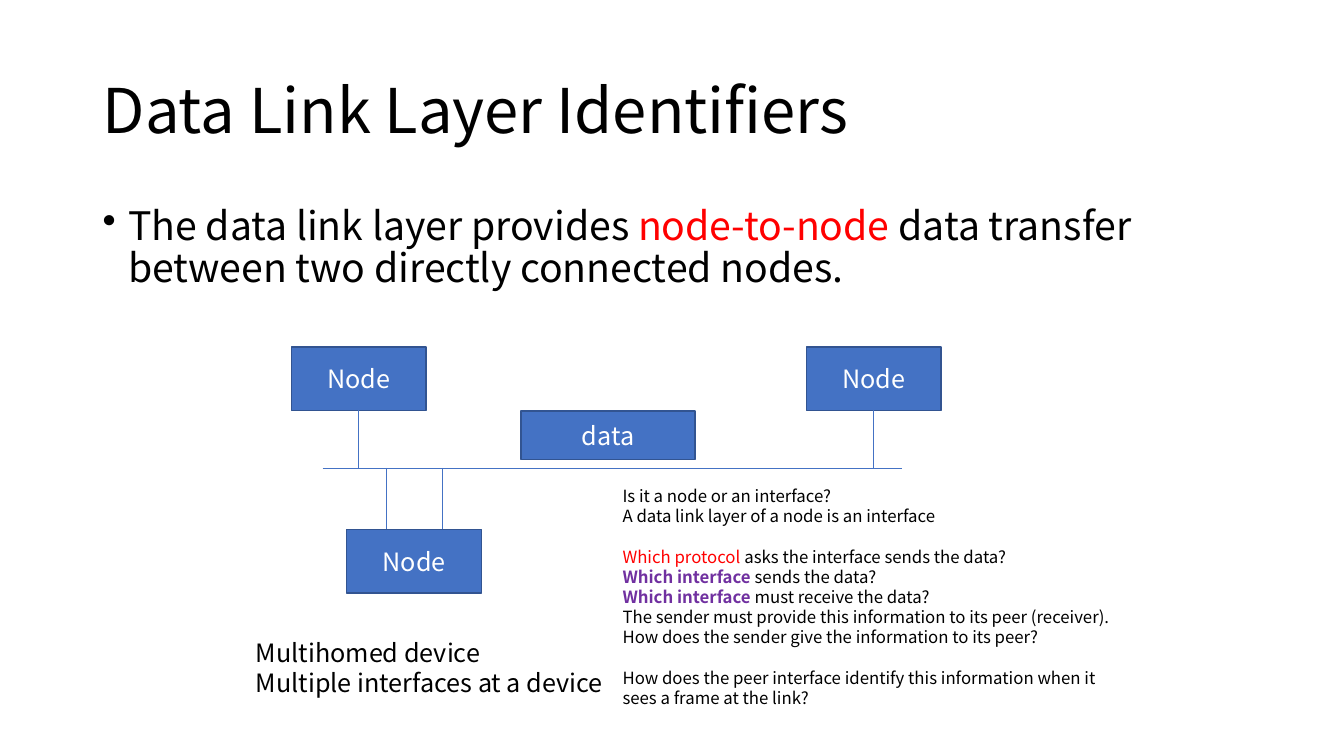
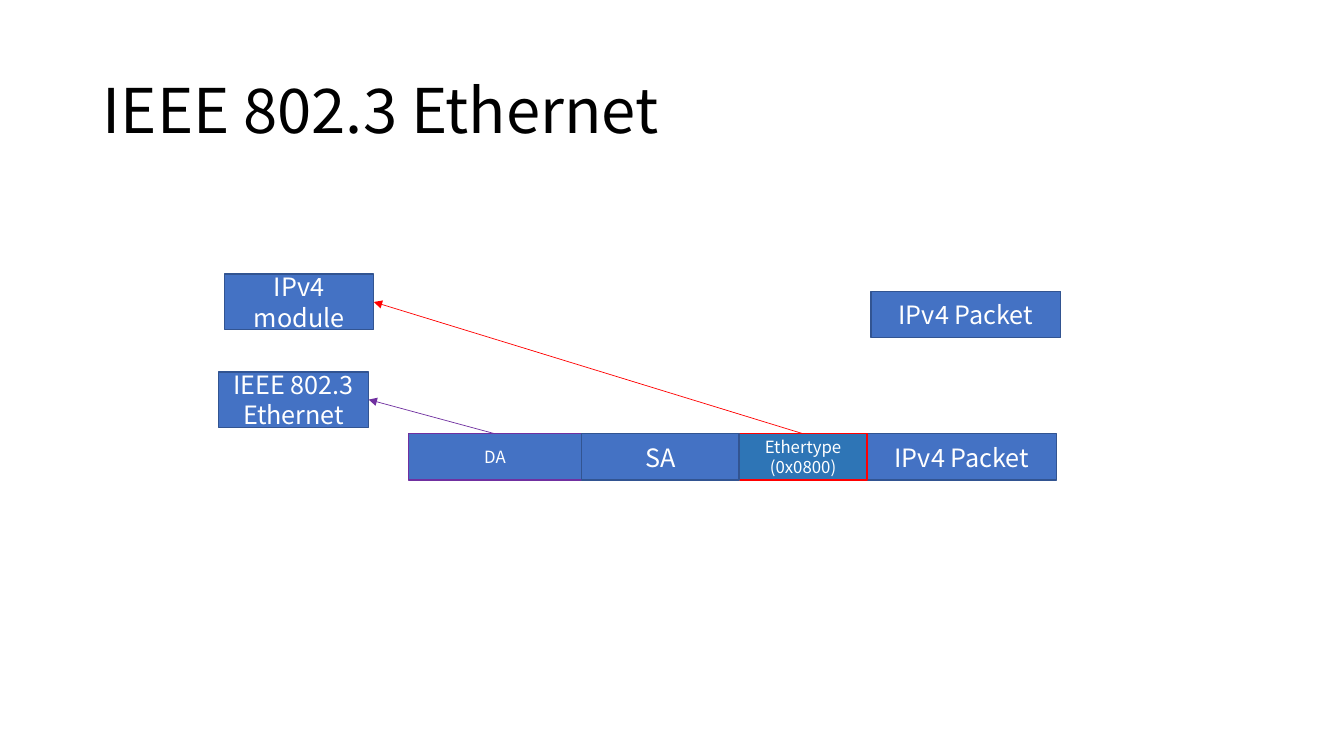
import itertools

import pptx
import pptx.dml.color
import pptx.enum.shapes
import pptx.enum.text
import pptx.oxml
import pptx.oxml.ns
import pptx.util

Cm = pptx.util.Cm
Pt = pptx.util.Pt
FONT = "Noto Sans CJK KR"
BLACK, WHITE, RED, PURPLE = "000000", "FFFFFF", "FF0000", "7030A0"
BLUE, EDGE, TEAL = "4472C4", "325491", "2E75B6"
CENTER = {"alignment": pptx.enum.text.PP_ALIGN.CENTER}
TIGHT = {"line_spacing": 0.9}
GAP = {"space_before": Pt(14.4)}
MIDDLE = pptx.enum.text.MSO_ANCHOR.MIDDLE


def color(value):
    return pptx.dml.color.RGBColor.from_string(value)


def apply(target, values):
    for name, value in values.items():
        setattr(target, name, value)


def drawing_element(tag, attributes=""):
    namespace = pptx.oxml.ns.nsdecls("a")
    return pptx.oxml.parse_xml(f"<a:{tag} {namespace} {attributes}/>")


def add_bullet(para, indent):
    properties = para._p.get_or_add_pPr()
    properties.set("marL", str(indent))
    properties.set("indent", str(-indent))
    properties.append(drawing_element("buChar", 'char="•"'))


def write(para, spans, size, ink, style):
    apply(para, style)
    for text, *extra in spans:
        span = para.add_run()
        span.text = text
        look = {"color": ink, "bold": False, **(extra[0] if extra else {})}
        span.font.color.rgb = color(look["color"])
        apply(span.font, {"name": FONT, "size": Pt(size), "bold": look["bold"]})


def fill_frame(frame, paras, size, ink, style, **settings):
    apply(frame, {"word_wrap": True, **settings})
    for index, (spans, extra) in enumerate(paras):
        para = frame.add_paragraph() if index else frame.paragraphs[0]
        write(para, spans, size, ink, {**style, **extra})


def plain(*lines):
    return [([(line,)], {}) for line in lines]


def add_text(page, box, paras, size, style=None, **settings):
    shape = page.shapes.add_textbox(*map(Cm, box))
    fill_frame(shape.text_frame, paras, size, BLACK, style or {}, **settings)
    return shape.text_frame


def add_block(page, box, *lines, size=18, fill=BLUE, edge=EDGE):
    kind = pptx.enum.shapes.MSO_SHAPE.RECTANGLE
    block = page.shapes.add_shape(kind, *map(Cm, box))
    block.shadow.inherit = False
    block.fill.solid()
    block.fill.fore_color.rgb = color(fill)
    block.line.color.rgb = color(edge)
    block.line.width = Pt(1)
    fill_frame(block.text_frame, plain(*lines), size, WHITE, CENTER,
               vertical_anchor=MIDDLE)
    return block


def add_line(page, start=(0, 0), end=(0, 0), ink=BLUE):
    kind = pptx.enum.shapes.MSO_CONNECTOR.STRAIGHT
    line = page.shapes.add_connector(kind, *map(Cm, (*start, *end)))
    line.line.color.rgb = color(ink)
    line.line.width = Pt(0.5)
    line._element.spPr.append(drawing_element("effectLst"))
    return line


def add_arrow(page, source, target, ink):
    top_site, right_site = 0, 3
    arrow = add_line(page, ink=ink)
    arrow.begin_connect(source, top_site)
    arrow.end_connect(target, right_site)
    arrow.line._get_or_add_ln().append(drawing_element("tailEnd", 'type="triangle"'))


def add_page(deck, title):
    page = deck.slides.add_slide(deck.slide_layouts[6])
    add_text(page, (2.34, 1.02, 29.21, 3.68), plain(title), 44, TIGHT,
             vertical_anchor=MIDDLE)
    return page


def add_statement(page, box):
    spans = [("The data link layer provides ",), ("node-to-node", {"color": RED}),
             (" data transfer between two directly connected nodes.",)]
    frame = add_text(page, box, [(spans, {})], 28, TIGHT)
    add_bullet(frame.paragraphs[0], Cm(0.64))


def add_network(page, left, top):
    width, height = 3.4, 1.6
    bus = top + 3.05
    lower_left, lower_top = left + 1.4, top + 4.6
    add_line(page, (left + 0.79, bus), (left + 15.39, bus))
    for node_left in (left, left + 12.98):
        center = node_left + width / 2
        add_block(page, (node_left, top, width, height), "Node")
        add_line(page, (center, top + height), (center, bus))
    add_block(page, (left + 5.79, top + 1.62, 4.39, 1.22), "data")
    add_block(page, (lower_left, lower_top, width, height), "Node")
    for offset in (-0.7, 0.7):
        drop = lower_left + width / 2 + offset
        add_line(page, (drop, bus), (drop, lower_top))


def add_questions(page, box):
    strong = {"color": PURPLE, "bold": True}
    paras = [
        *plain("Is it a node or an interface?",
               "A data link layer of a node is an interface"),
        ([("Which protocol ", {"color": RED}),
          ("asks the interface sends the data?",)], GAP),
        *[([("Which interface ", strong), (ending,)], {})
          for ending in ("sends the data?", "must receive the data?")],
        *plain("The sender must provide this information to its peer (receiver).",
               "How does the sender give the information to its peer?"),
        ([("How does the peer interface identify this information "
           "when it sees a frame at the link?",)], GAP),
    ]
    add_text(page, box, paras, 12)


def add_ethernet_frame(page, left, top):
    module = add_block(page, (left + 0.15, top, 3.76, 1.4), "IPv4 module")
    ethernet = add_block(page, (left, top + 2.46, 3.78, 1.4), "IEEE 802.3", "Ethernet")
    add_block(page, (left + 16.44, top + 0.43, 4.78, 1.17), "IPv4 Packet")

    fields = [
        (4.37, ("DA",), {"size": 12, "edge": PURPLE}),
        (3.97, ("SA",), {}),
        (3.22, ("Ethertype", "(0x0800)"), {"size": 12, "fill": TEAL, "edge": RED}),
        (4.78, ("IPv4 Packet",), {}),
    ]
    starts = list(itertools.accumulate((field[0] for field in fields),
                                       initial=left + 4.78))
    blocks = {}
    for index in (3, 2, 0, 1):
        width, lines, look = fields[index]
        box = (starts[index], top + 4.02, width, 1.17)
        blocks[lines[0]] = add_block(page, box, *lines, **look)
    add_arrow(page, blocks["Ethertype"], module, RED)
    add_arrow(page, blocks["DA"], ethernet, PURPLE)


def main():
    deck = pptx.Presentation()
    apply(deck, {"slide_width": Cm(33.87), "slide_height": Cm(19.05)})

    page = add_page(deck, "Data Link Layer Identifiers")
    add_statement(page, (2.34, 5.08, 29.21, 12.09))
    add_network(page, 7.34, 8.74)
    add_text(page, (6.2, 15.93, 9.32, 1.8),
             plain("Multihomed device", "Multiple interfaces at a device"), 18,
             word_wrap=False)
    add_questions(page, (15.44, 12.12, 13.34, 5.89))

    page = add_page(deck, "IEEE 802.3 Ethernet")
    add_ethernet_frame(page, 5.51, 6.91)

    deck.save("out.pptx")


if __name__ == "__main__":
    main()
